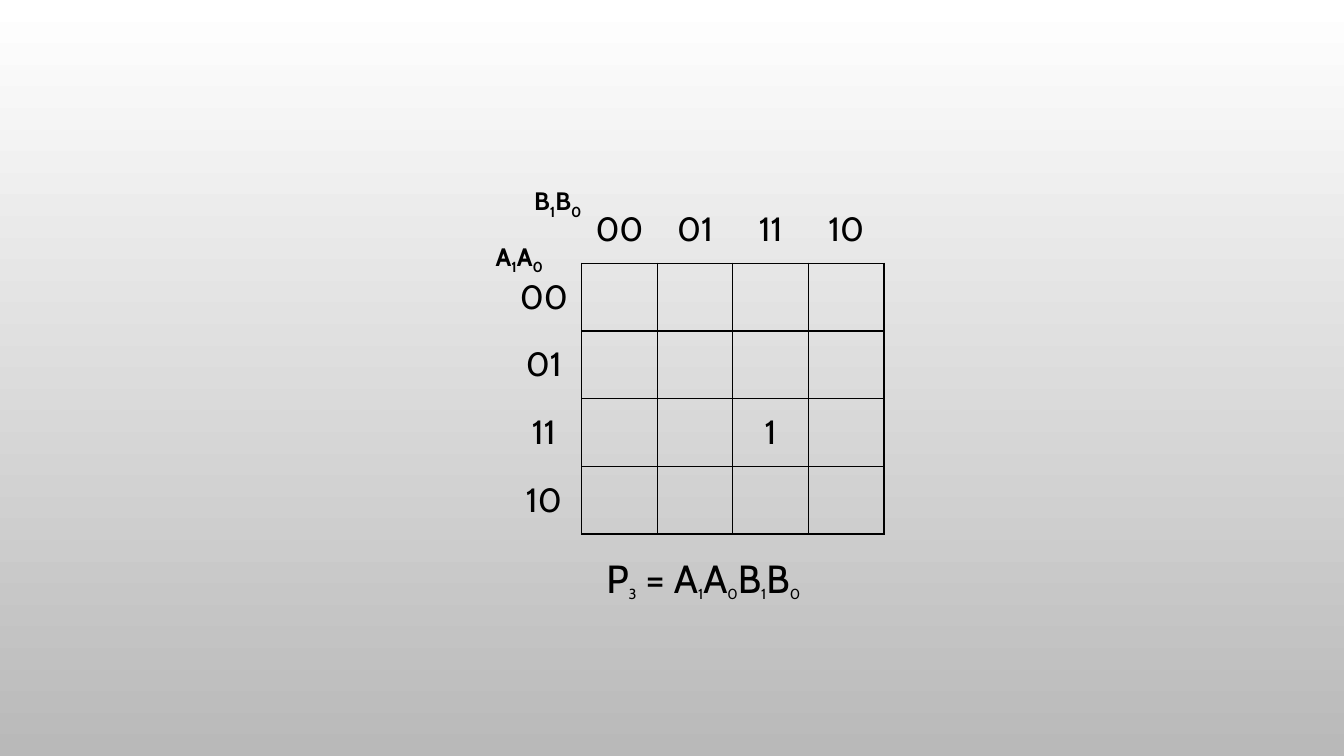
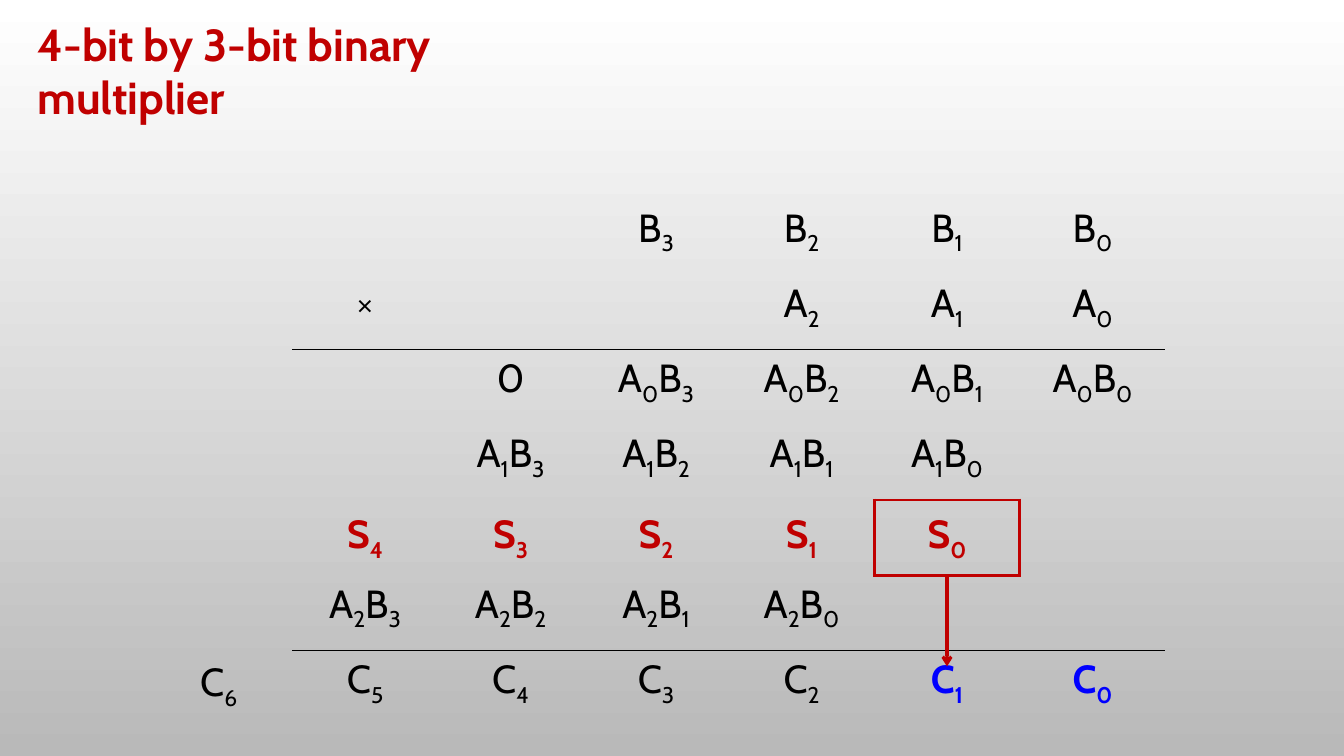
import pptx
import pptx.dml.color
import pptx.enum.shapes
import pptx.enum.text
import pptx.oxml.ns
import pptx.util
import lxml.etree

Pt = pptx.util.Pt
RGBColor = pptx.dml.color.RGBColor
ALIGN = pptx.enum.text.PP_ALIGN
ANCHOR = pptx.enum.text.MSO_ANCHOR
qn = pptx.oxml.ns.qn

BLACK = RGBColor(0x00, 0x00, 0x00)
WHITE = RGBColor(0xFF, 0xFF, 0xFF)
GREY = RGBColor(0xB9, 0xB9, 0xB9)
RED = RGBColor(0xC0, 0x00, 0x00)
BLUE = RGBColor(0x00, 0x00, 0xFF)
FONT = "Cabin"
TITLE_ONLY, BLANK = 5, 6
NEIGHBOURS = {"L": (0, -1, "R"), "R": (0, 1, "L"), "T": (-1, 0, "B"), "B": (1, 0, "T")}


class Deck:
    """Hold the shared style and the current slide, and draw each kind of element."""

    def __init__(self):
        self.prs = pptx.Presentation()
        self.prs.slide_width, self.prs.slide_height = Pt(960), Pt(540)
        self.s = None
        fill = self.prs.slide_master.background.fill
        fill.gradient()
        fill.gradient_angle = 270
        for stop, color in zip(fill.gradient_stops, (WHITE, GREY)):
            stop.color.rgb = color

    def slide(self, title=None):
        layout = BLANK if title is None else TITLE_ONLY
        self.s = self.prs.slides.add_slide(self.prs.slide_layouts[layout])
        if title is not None:
            sp = self.s.shapes.title
            sp.left, sp.top, sp.width, sp.height = Pt(19.5), Pt(8), Pt(421), Pt(86)
            tf = sp.text_frame
            tf.word_wrap = True
            tf.auto_size = pptx.enum.text.MSO_AUTO_SIZE.NONE
            tf.vertical_anchor = ANCHOR.TOP
            self.add_runs(tf, title, 32, RED, True)

    def add_runs(self, tf, text, size, color=BLACK, bold=False, align=ALIGN.LEFT, sub_size=None):
        p = tf.paragraphs[0]
        p.alignment = align
        first, *rest = text.split("_")
        runs = [(first, False)]
        for part in rest:
            runs += [(part[0], True), (part[1:], False)]
        for part, is_sub in runs:
            if not part:
                continue
            r = p.add_run()
            r.text = part
            r.font.name = FONT
            r.font.size = Pt(sub_size if is_sub and sub_size else size)
            r.font.bold = bold
            r.font.color.rgb = color
            if is_sub:
                r._r.get_or_add_rPr().set("baseline", "-25000")

    def text(self, x, y, w, h, text, size, **style):
        tf = self.s.shapes.add_textbox(Pt(x), Pt(y), Pt(w), Pt(h)).text_frame
        tf.word_wrap = True
        self.add_runs(tf, text, size, **style)

    def table(self, x, y, rows, cols, col_width, row_height):
        frame = self.s.shapes.add_table(
            rows, cols, Pt(x), Pt(y), Pt(col_width * cols), Pt(row_height * rows))
        table = frame.table
        table.first_row = table.horz_banding = False
        for column in table.columns:
            column.width = Pt(col_width)
        for row in table.rows:
            row.height = Pt(row_height)
        for cell in table.iter_cells():
            tcPr = cell._tc.get_or_add_tcPr()
            for side in "LRTB":
                ln = lxml.etree.SubElement(tcPr, qn("a:ln" + side))
                lxml.etree.SubElement(ln, qn("a:noFill"))
            cell.fill.background()
        return table

    def cell(self, table, row, col, text, size, anchor=ANCHOR.TOP, margins=None, **style):
        cell = table.cell(row, col)
        cell.vertical_anchor = anchor
        if margins:
            cell.margin_left = cell.margin_right = Pt(margins[0])
            cell.margin_top = cell.margin_bottom = Pt(margins[1])
        self.add_runs(cell.text_frame, text, size, align=ALIGN.CENTER, **style)

    def border(self, table, row, col, sides, color=BLACK, width=1):
        for side in sides:
            down, right, opposite = NEIGHBOURS[side]
            for r, c, edge in ((row, col, side), (row + down, col + right, opposite)):
                if 0 <= r < len(table.rows) and 0 <= c < len(table.columns):
                    ln = table.cell(r, c)._tc.tcPr.find(qn("a:ln" + edge))
                    ln.set("w", str(Pt(width)))
                    ln.remove(ln[0])
                    fill = lxml.etree.SubElement(ln, qn("a:solidFill"))
                    lxml.etree.SubElement(fill, qn("a:srgbClr"), val=str(color))

    def arrow(self, x1, y1, x2, y2, color, width):
        line = self.s.shapes.add_connector(
            pptx.enum.shapes.MSO_CONNECTOR.STRAIGHT, Pt(x1), Pt(y1), Pt(x2), Pt(y2))
        line.line.color.rgb = color
        line.line.width = Pt(width)
        spPr = line._element.spPr
        lxml.etree.SubElement(spPr.find(qn("a:ln")), qn("a:tailEnd"), type="arrow")
        lxml.etree.SubElement(spPr, qn("a:effectLst"))


def karnaugh_map(deck):
    deck.slide()
    table = deck.table(361.5, 139.7, 5, 5, 54, 48.38)
    style = dict(size=24, anchor=ANCHOR.MIDDLE, margins=(8.64, 4.32))
    for i, code in enumerate(("00", "01", "11", "10"), 1):
        deck.cell(table, 0, i, code, **style)
        deck.cell(table, i, 0, code, **style)
        for j in range(1, 5):
            deck.border(table, i, j, "LRTB")
    deck.cell(table, 3, 3, "1", **style)
    deck.text(347, 168.5, 55.5, 29, "A_1A_0", 18, bold=True)
    deck.text(374.5, 129, 57.5, 29, "B_1B_0", 18, bold=True)
    deck.text(426, 392.5, 173.5, 41, "P_3 = A_1A_0B_1B_0", 28, sub_size=18)


def multiplier(deck):
    deck.slide("4-bit by 3-bit binary multiplier")
    x, y, col_width, row_height = 208.8, 88.6, 103.92, 53.73
    table = deck.table(x, y, 8, 6, col_width, row_height)

    def terms(letters, high, low=0):
        return [f"{letters}_{i}" for i in range(high, low - 1, -1)]

    plain = {}
    red = dict(color=RED, bold=True, anchor=ANCHOR.MIDDLE)
    blue = dict(color=BLUE, bold=True)
    for row, col, texts, style in (
        (1, 2, terms("B", 3), plain),
        (2, 0, ["×"], plain),
        (2, 3, terms("A", 2), plain),
        (3, 1, ["0"] + terms("A_0B", 3), plain),
        (4, 1, terms("A_1B", 3), plain),
        (5, 0, terms("S", 4), red),
        (6, 0, terms("A_2B", 3), plain),
        (7, 0, terms("C", 5, 2), plain),
        (7, 4, terms("C", 1), blue),
    ):
        for i, text in enumerate(texts):
            deck.cell(table, row, col + i, text, 28, **style)
    for row in (2, 6):
        for col in range(6):
            deck.border(table, row, col, "B")
    deck.border(table, 5, 4, "LRTB", RED, 2.25)
    middle = x + 4.5 * col_width
    deck.arrow(middle, y + 6 * row_height, middle, 476, RED, 2.25)
    deck.text(129.5, 466, 53.5, 41, "C_6", 28, align=ALIGN.CENTER)


def main():
    deck = Deck()
    karnaugh_map(deck)
    multiplier(deck)
    deck.prs.save("out.pptx")


if __name__ == "__main__":
    main()
